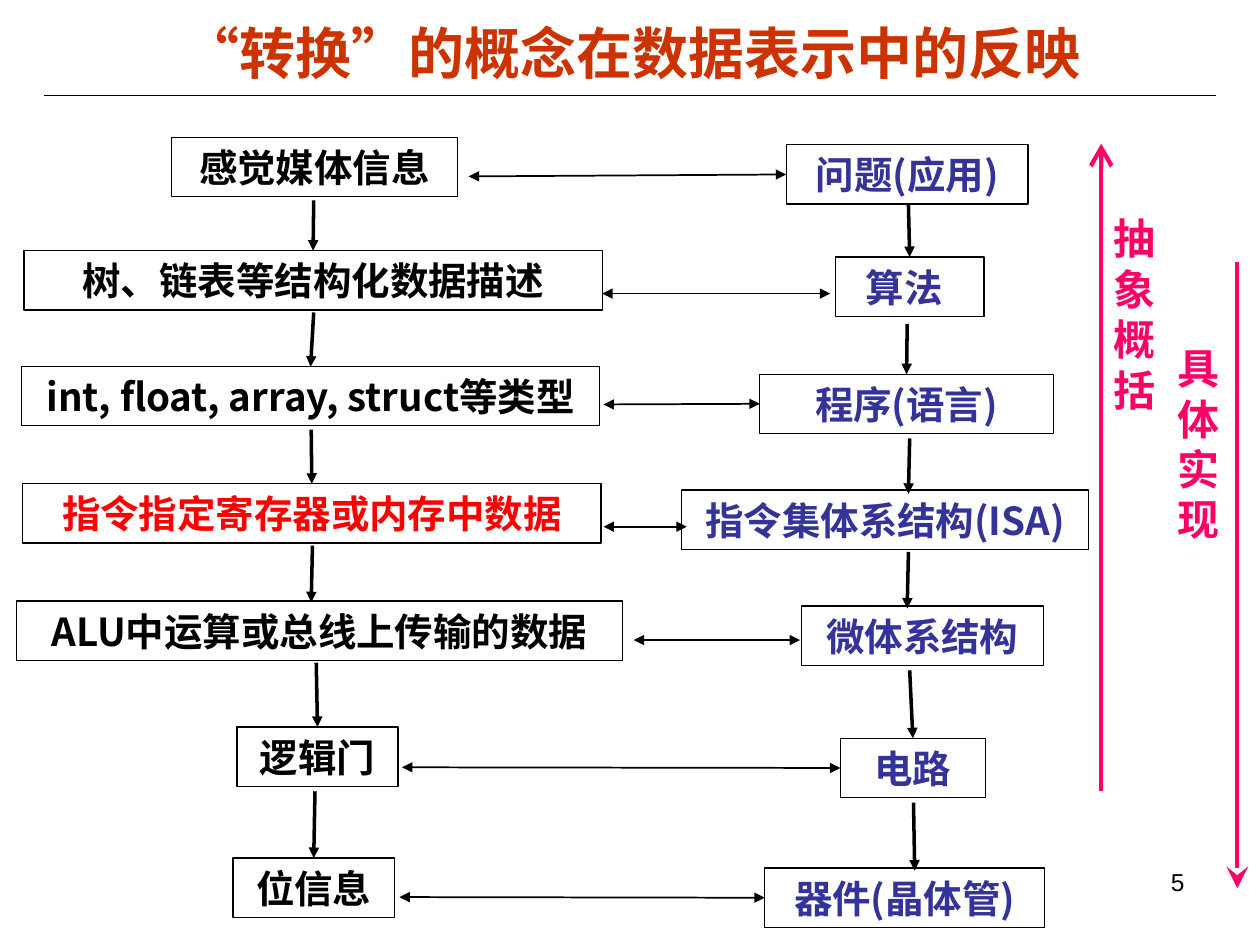
"""Build a slide on how the idea of conversion shows in data representation."""
import pptx
import pptx.dml.color
import pptx.enum.shapes
import pptx.enum.text
import pptx.oxml
import pptx.oxml.ns
import pptx.util
from pptx.util import Inches

COLORS = {"title": "CC3300", "black": "000000", "red": "FF0000",
          "blue": "333399", "pink": "FF0066"}
CJK_FONT = "Noto Sans CJK SC"
BOX_HEIGHT = 0.47
JOIN_TOLERANCE = Inches(0.03)
ALIGN = pptx.enum.text.PP_ALIGN
ANCHOR = pptx.enum.text.MSO_ANCHOR

DATA_BOXES = [
    ("感觉媒体信息", 1.36, 1.09, 2.27, "black"),
    ("树、链表等结构化数据描述", 0.19, 1.99, 4.59, "black"),
    ("int, float, array, struct等类型", 0.17, 2.91, 4.59, "black"),
    ("指令指定寄存器或内存中数据", 0.18, 3.84, 4.59, "red"),
    ("ALU中运算或总线上传输的数据", 0.13, 4.77, 4.81, "black"),
    ("逻辑门", 1.88, 5.77, 1.28, "black"),
    ("位信息", 1.85, 6.81, 1.28, "black"),
]
SYSTEM_BOXES = [
    ("问题(应用)", 6.24, 1.15, 1.92, "blue"),
    ("算法", 6.63, 2.04, 1.18, "blue"),
    ("程序(语言)", 6.03, 2.97, 2.33, "blue"),
    ("指令集体系结构(ISA)", 5.41, 3.89, 3.23, "blue"),
    ("微体系结构", 6.36, 4.81, 1.92, "blue"),
    ("电路", 6.67, 5.86, 1.15, "blue"),
    ("器件(晶体管)", 6.07, 6.89, 2.22, "blue"),
]
DATA_STEPS = [(2.49, 1.59, 2.49, 2.01), (2.49, 2.48, 2.48, 2.93),
              (2.47, 3.41, 2.46, 3.85), (2.48, 4.33, 2.47, 4.78),
              (2.51, 5.26, 2.51, 5.8), (2.5, 6.28, 2.5, 6.82)]
SYSTEM_STEPS = [(7.21, 1.62, 7.21, 2.05), (7.2, 2.57, 7.2, 2.99),
                (7.22, 3.48, 7.21, 3.92), (7.21, 4.38, 7.2, 4.83),
                (7.22, 5.32, 7.23, 5.86), (7.25, 6.37, 7.26, 6.91)]
LEVEL_LINKS = [(6.21, 3.72, 1.4), (6.59, 4.78, 2.33), (6.03, 4.79, 3.21),
               (5.45, 4.79, 4.18), (6.35, 5.03, 5.08), (6.66, 3.19, 6.09),
               (6.08, 3.17, 7.12)]


def rgb(name):
    """Return the named colour."""
    return pptx.dml.color.RGBColor.from_string(COLORS[name])


def write_text(shape, text, size, font_name, color, bold=True,
               align=ALIGN.CENTER, anchor=ANCHOR.MIDDLE):
    """Write one formatted run into a shape and return its paragraph."""
    frame = shape.text_frame
    frame.word_wrap = True
    frame.vertical_anchor = anchor
    paragraph = frame.paragraphs[0]
    paragraph.alignment = align
    run = paragraph.add_run()
    run.text = text
    run.font.size = pptx.util.Pt(size)
    run.font.name = font_name
    run.font.bold = bold
    run.font.color.rgb = rgb(color)
    east_asian = pptx.oxml.parse_xml(
        f'<a:ea {pptx.oxml.ns.nsdecls("a")} typeface="{CJK_FONT}"/>')
    run.font._element.find(pptx.oxml.ns.qn("a:latin")).addnext(east_asian)
    return paragraph


def add_title(slide, text):
    """Place and fill the title, with the rule under it."""
    title = slide.shapes.title
    title.left, title.top = Inches(0.88), Inches(0.11)
    title.width, title.height = Inches(8.28), Inches(0.6)
    write_text(title, text, 32, "Arial", "title")
    add_line(slide, (0.35, 0.76, 9.65, 0.76), 0.75)


def add_box(slide, text, left, top, width, color):
    """Add an outlined box with bold text."""
    box = slide.shapes.add_shape(
        pptx.enum.shapes.MSO_SHAPE.RECTANGLE,
        Inches(left), Inches(top), Inches(width), Inches(BOX_HEIGHT))
    box.shadow.inherit = False
    box.fill.background()
    box.line.color.rgb = rgb("black")
    box.line.width = pptx.util.Pt(0.75)
    frame = box.text_frame
    frame.margin_left = frame.margin_right = 0
    frame.margin_top = frame.margin_bottom = 0
    write_text(box, text, 22, CJK_FONT, color)
    return box


def add_line(slide, ends, width, color="black", head=None, tail=None, size="med"):
    """Add a straight connector with optional arrowheads."""
    line = slide.shapes.add_connector(
        pptx.enum.shapes.MSO_CONNECTOR.STRAIGHT, *map(Inches, ends))
    line.line.color.rgb = rgb(color)
    line.line.width = pptx.util.Pt(width)
    namespace = pptx.oxml.ns.nsdecls("a")
    outline = line.line._get_or_add_ln()
    for tag, kind in (("headEnd", head), ("tailEnd", tail)):
        if kind:
            outline.append(pptx.oxml.parse_xml(
                f'<a:{tag} {namespace} type="{kind}" w="{size}" len="{size}"/>'))
    outline.addnext(pptx.oxml.parse_xml(f"<a:effectLst {namespace}/>"))
    return line


def is_near(x, y, other_x, other_y):
    """Tell whether two points lie within the joining tolerance."""
    return max(abs(x - other_x), abs(y - other_y)) <= JOIN_TOLERANCE


def add_step(slide, ends, target):
    """Add a downward arrow, joined to the box when it meets its top middle."""
    line = add_line(slide, ends, 2, tail="triangle")
    if is_near(line.end_x, line.end_y, target.left + target.width // 2, target.top):
        line.end_connect(target, 0)


def add_link(slide, start, end, y, source):
    """Add a two-way arrow, joined to the box when it meets its left middle."""
    line = add_line(slide, (start, y, end, y), 1, head="triangle", tail="triangle")
    if is_near(line.begin_x, line.begin_y, source.left, source.top + source.height // 2):
        line.begin_connect(source, 1)


def add_direction(slide, text, left, top, ends, **arrowhead):
    """Add a long pink arrow with its stacked label."""
    add_line(slide, ends, 2.5, "pink", size="lg", **arrowhead)
    label = slide.shapes.add_textbox(
        Inches(left), Inches(top), Inches(0.52), Inches(1.7))
    label.text_frame.margin_top = Inches(0.1)
    paragraph = write_text(label, text, 24, "Times New Roman", "pink",
                           align=ALIGN.LEFT, anchor=ANCHOR.TOP)
    paragraph.line_spacing = pptx.util.Pt(28.8)


def add_page_number(slide, number):
    """Add the page number at the lower right."""
    label = slide.shapes.add_textbox(
        Inches(7.17), Inches(6.83), Inches(2.33), Inches(0.52))
    write_text(label, number, 14, "Arial", "black", bold=False,
               align=ALIGN.RIGHT, anchor=ANCHOR.TOP)


def main():
    """Build and save the presentation."""
    presentation = pptx.Presentation()
    presentation.slide_width, presentation.slide_height = Inches(10), Inches(7.5)
    slide = presentation.slides.add_slide(presentation.slide_layouts[5])
    add_title(slide, "“转换”的概念在数据表示中的反映")
    add_direction(slide, "具体实现", 9.25, 2.62, (9.82, 2.08, 9.82, 7.05), tail="stealth")
    add_direction(slide, "抽象概括", 8.74, 1.59, (8.74, 1.14, 8.74, 6.28), head="arrow")
    data_boxes = [add_box(slide, *row) for row in DATA_BOXES]
    system_boxes = [add_box(slide, *row) for row in SYSTEM_BOXES]
    algorithm_frame = system_boxes[1].text_frame
    algorithm_frame.margin_left = Inches(0.24)
    algorithm_frame.paragraphs[0].alignment = ALIGN.LEFT
    for steps, boxes in ((DATA_STEPS, data_boxes), (SYSTEM_STEPS, system_boxes)):
        for ends, target in zip(steps, boxes[1:]):
            add_step(slide, ends, target)
    for link, source in zip(LEVEL_LINKS, system_boxes):
        add_link(slide, *link, source)
    add_page_number(slide, "5")
    presentation.save("out.pptx")


if __name__ == "__main__":
    main()
